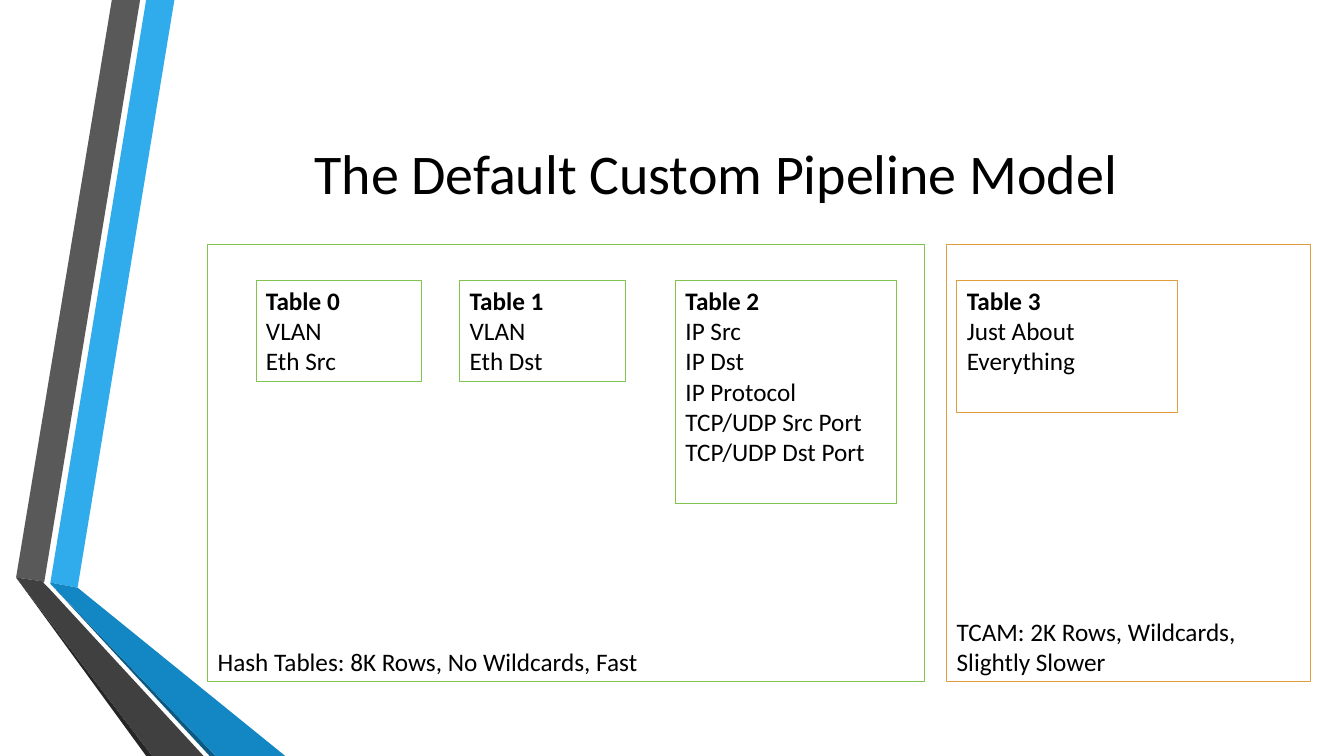
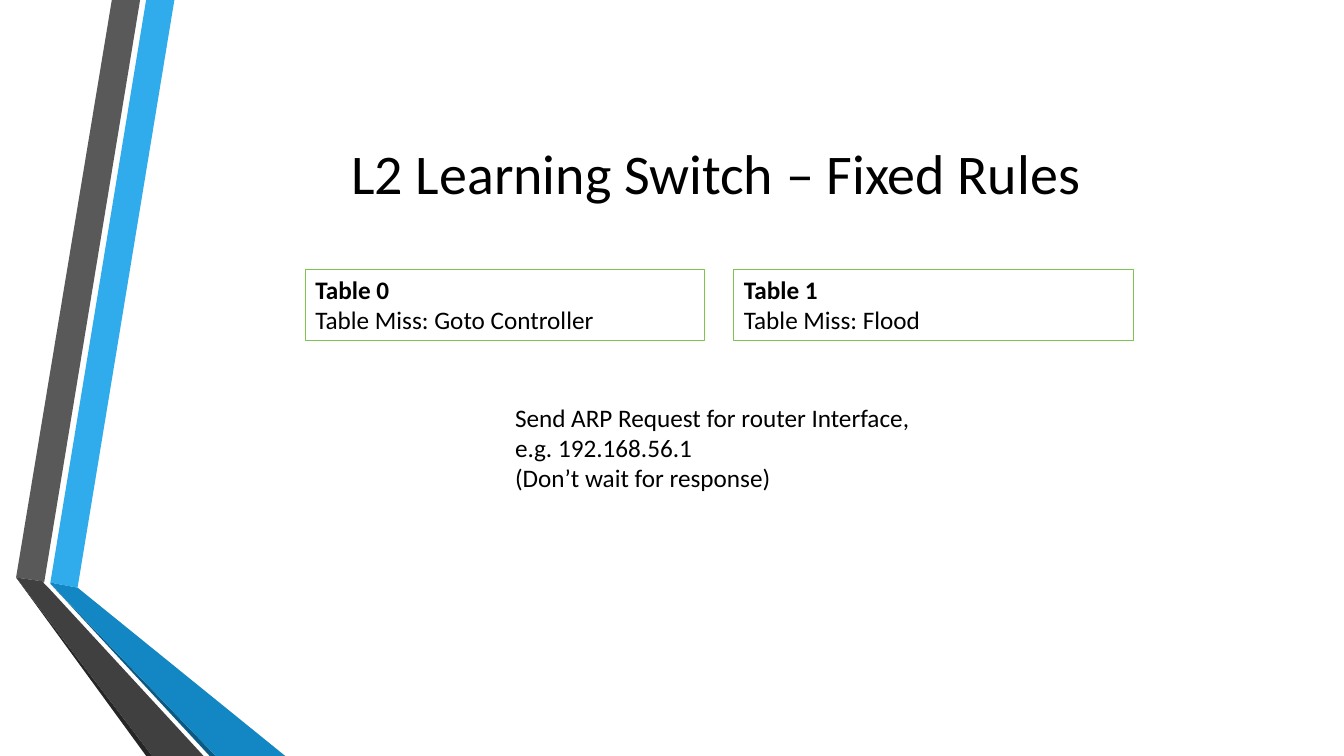
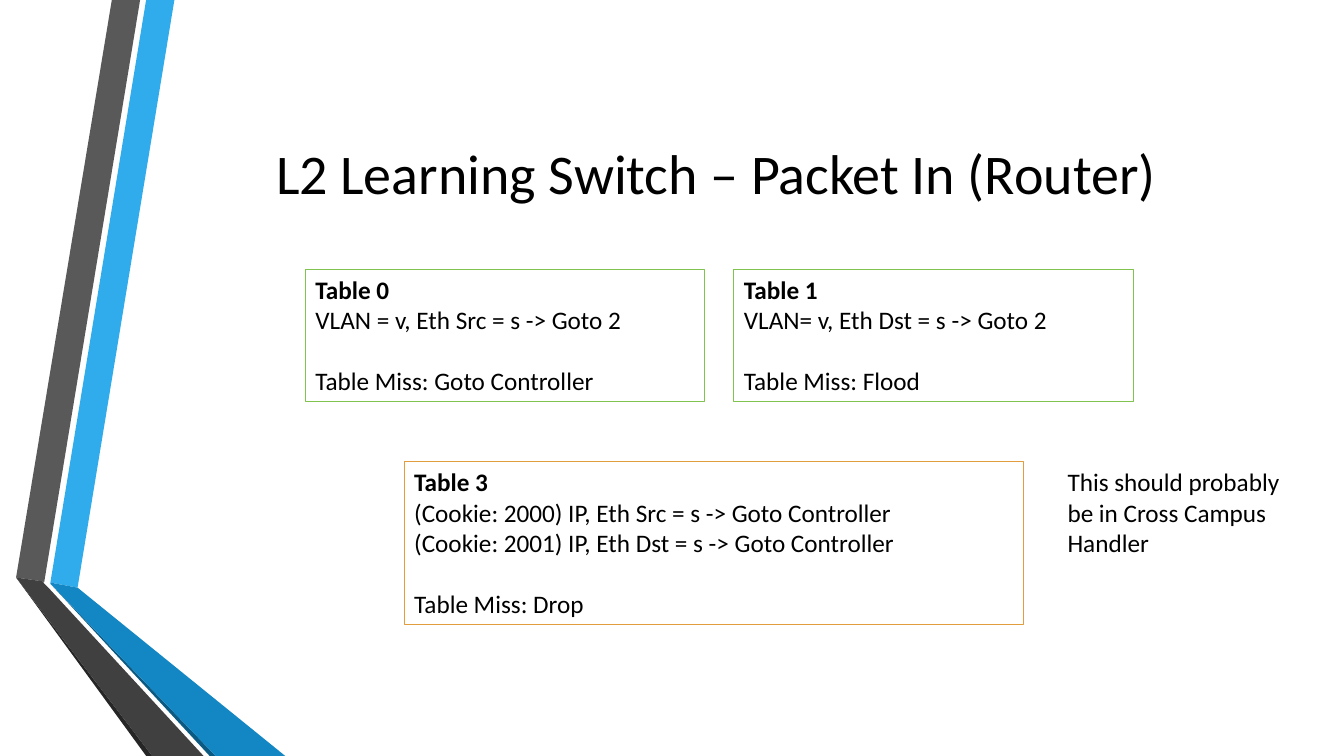
"""Build three slides on the custom pipeline model and the L2 learning switch."""
from dataclasses import dataclass

from pptx import Presentation
from pptx.dml.color import RGBColor
from pptx.enum.shapes import MSO_SHAPE
from pptx.enum.text import MSO_ANCHOR, PP_ALIGN
from pptx.util import Pt

PX = 9144
PAGE_WIDTH, PAGE_HEIGHT = 1333, 750
BLANK_LAYOUT = 6
RECTANGLE = MSO_SHAPE.RECTANGLE
TOP, MIDDLE, BOTTOM = MSO_ANCHOR.TOP, MSO_ANCHOR.MIDDLE, MSO_ANCHOR.BOTTOM
LEFT, CENTER = PP_ALIGN.LEFT, PP_ALIGN.CENTER
BLACK, GREEN, ORANGE = "000000", "80C34F", "E29D3E"
BODY_FONT = {"name": "Calibri", "size": Pt(18), "bold": False}
HEADING_FONT = BODY_FONT | {"bold": True}
TITLE_FONT = BODY_FONT | {"size": Pt(40)}
BLANK_LINE = Pt(22)


@dataclass(frozen=True)
class Ribbon:
    color: str
    points: tuple[tuple[int, int], ...]


@dataclass(frozen=True)
class Box:
    left: int
    top: int
    width: int
    height: int
    lines: tuple[str, ...] = ()
    edge: str = ""
    heading: str = ""
    closing: str = ""
    anchor: MSO_ANCHOR = TOP
    align: PP_ALIGN = LEFT


@dataclass(frozen=True)
class Page:
    title: str
    boxes: tuple[Box, ...]


RIBBONS = (
    Ribbon("30ACEC", ((50, 578), (77, 583), (173, 0), (145, 0))),
    Ribbon("595959", ((139, 0), (111, 0), (16, 573), (44, 577))),
    Ribbon("262626", ((16, 573), (145, 750), (151, 750))),
    Ribbon("0C5A82", ((50, 579), (208, 750), (214, 750))),
    Ribbon("1287C3", ((50, 578), (50, 579), (214, 750), (283, 750), (77, 583))),
    Ribbon("404040", ((202, 750), (48, 583), (43, 578), (44, 577), (16, 573), (151, 750))),
)


def table_pair(height: int, first: dict, second: dict) -> tuple[Box, Box]:
    """Place Table 0 and Table 1 side by side."""
    return tuple(
        Box(303 + 425 * index, 267, 396, height, edge=GREEN, heading=f"Table {index}", **text)
        for index, text in enumerate((first, second))
    )


PAGES = (
    Page("The Default Custom Pipeline Model", (
        Box(206, 243, 711, 433, ("Hash Tables: 8K Rows, No Wildcards, Fast",), GREEN, anchor=BOTTOM),
        Box(254, 278, 164, 101, ("VLAN", "Eth Src"), GREEN, "Table 0"),
        Box(456, 278, 164, 101, ("VLAN", "Eth Dst"), GREEN, "Table 1"),
        Box(670, 278, 219, 222,
            ("IP Src", "IP Dst", "IP Protocol", "TCP/UDP Src Port", "TCP/UDP Dst Port"),
            GREEN, "Table 2"),
        Box(949, 278, 219, 131, ("Just About Everything",), ORANGE, "Table 3"),
        Box(939, 243, 361, 433, ("TCAM: 2K Rows, Wildcards, Slightly Slower",), ORANGE, anchor=BOTTOM),
    )),
    Page("L2 Learning Switch – Fixed Rules", (
        *table_pair(71, {"lines": ("Table Miss: Goto Controller",)}, {"lines": ("Table Miss: Flood",)}),
        Box(501, 394, 417, 101,
            ("Send ARP Request for router Interface, e.g. 192.168.56.1", "(Don’t wait for response)")),
    )),
    Page("L2 Learning Switch – Packet In (Router)", (
        *table_pair(
            131,
            {"lines": ("VLAN = v, Eth Src = s -> Goto 2",), "closing": "Table Miss: Goto Controller"},
            {"lines": ("VLAN= v, Eth Dst = s -> Goto 2",), "closing": "Table Miss: Flood"},
        ),
        Box(401, 458, 614, 162,
            ("(Cookie: 2000) IP, Eth Src = s -> Goto Controller",
             "(Cookie: 2001) IP, Eth Dst = s -> Goto Controller"),
            ORANGE, "Table 3", "Table Miss: Drop"),
        Box(1049, 458, 236, 101, ("This should probably", "be in Cross Campus Handler")),
    )),
)


def paint(target, color: str) -> None:
    """Give a fill or a font a solid colour."""
    if hasattr(target, "solid"):
        target.solid()
        target.fore_color.rgb = RGBColor.from_string(color)
    else:
        target.color.rgb = RGBColor.from_string(color)


def draw_ribbons(page, layout) -> None:
    """Draw the folded ribbons and hand them to the shared layout."""
    for placeholder in list(layout.placeholders):
        layout.shapes.element.remove(placeholder.element)
    for ribbon in RIBBONS:
        builder = page.shapes.build_freeform(*ribbon.points[0], scale=PX)
        builder.add_line_segments(ribbon.points[1:], close=True)
        shape = builder.convert_to_shape()
        shape.shadow.inherit = False
        paint(shape.fill, ribbon.color)
        shape.line.fill.background()
    for shape in list(page.shapes):
        layout.shapes.element.append(shape.element)


def draw_box(page, box: Box, body_font: dict = BODY_FONT) -> None:
    """Draw a text box, outlined when it has an edge colour."""
    place = [length * PX for length in (box.left, box.top, box.width, box.height)]
    if box.edge:
        shape = page.shapes.add_shape(RECTANGLE, *place)
        shape.shadow.inherit = False
        shape.fill.background()
        paint(shape.line.fill, box.edge)
        shape.line.width = Pt(0.75)
    else:
        shape = page.shapes.add_textbox(*place)
    frame = shape.text_frame
    frame.word_wrap = True
    frame.vertical_anchor = box.anchor
    rows = [(box.heading, HEADING_FONT, 0)] if box.heading else []
    rows += [(line, body_font, 0) for line in box.lines]
    if box.closing:
        rows.append((box.closing, body_font, BLANK_LINE))
    for index, (text, font, gap) in enumerate(rows):
        para = frame.add_paragraph() if index else frame.paragraphs[0]
        para.alignment = box.align
        para.space_before = gap
        span = para.add_run()
        span.text = text
        for name, value in font.items():
            setattr(span.font, name, value)
        paint(span.font, BLACK)


def main() -> None:
    """Build and save the deck."""
    deck = Presentation()
    deck.slide_width, deck.slide_height = PAGE_WIDTH * PX, PAGE_HEIGHT * PX
    layout = deck.slide_layouts[BLANK_LAYOUT]
    for index, content in enumerate(PAGES):
        page = deck.slides.add_slide(layout)
        if index == 0:
            draw_ribbons(page, layout)
        title = Box(162, 75, 1096, 192, (content.title,), anchor=MIDDLE, align=CENTER)
        draw_box(page, title, TITLE_FONT)
        for box in content.boxes:
            draw_box(page, box)
    deck.save("out.pptx")


if __name__ == "__main__":
    main()
